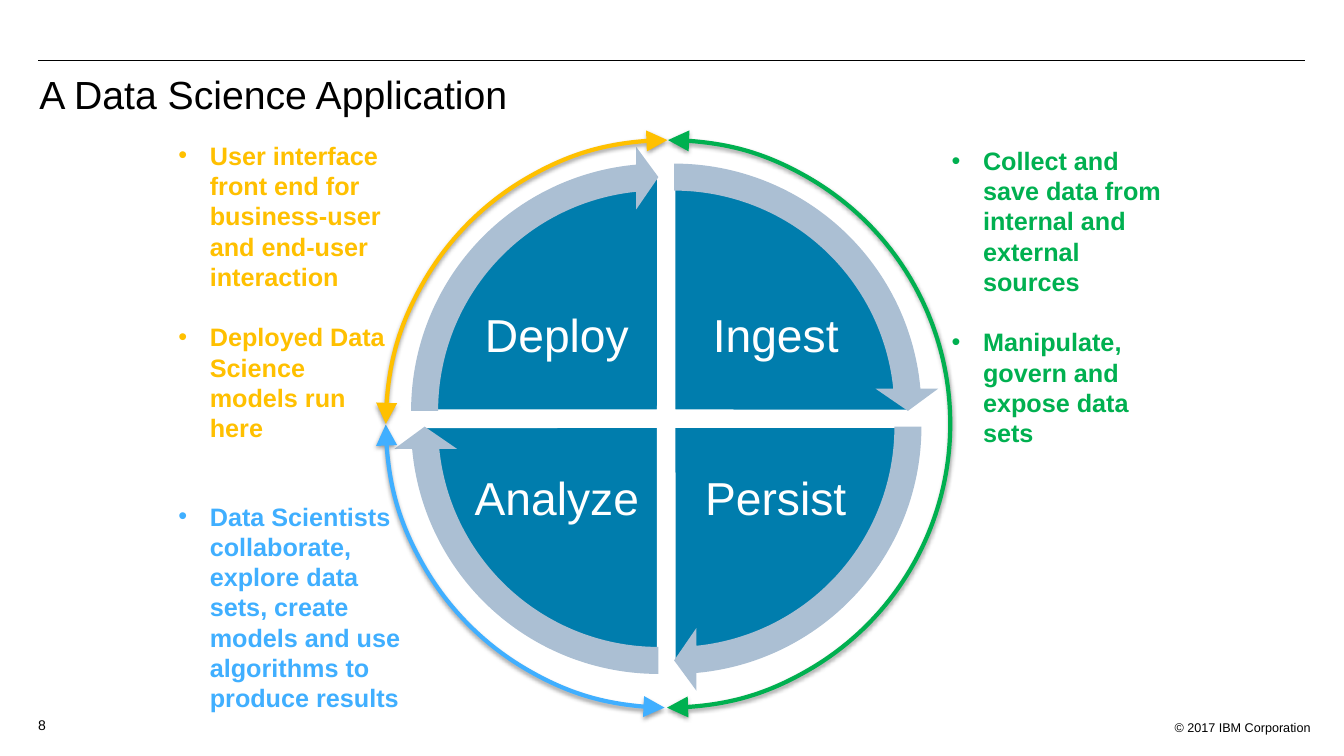
import pptx
import pptx.util
import pptx.dml.color
import pptx.enum.shapes
import pptx.enum.text
import pptx.oxml
import pptx.oxml.ns

Pt = pptx.util.Pt
SHAPE = pptx.enum.shapes.MSO_SHAPE
ALIGN = pptx.enum.text.PP_ALIGN
ANCHOR = pptx.enum.text.MSO_ANCHOR

BLACK, WHITE = "000000", "FFFFFF"
PIE_BLUE, ARROW_GREY = "007DAD", "ABBFD3"
GREEN, SKY, AMBER = "00B050", "40AFFF", "FFC000"


def rgb(value):
    return pptx.dml.color.RGBColor.from_string(value)


def add_xml(parent, xml):
    """Append a drawing element written without its namespace."""
    ns = pptx.oxml.ns.nsdecls("a")
    tag, rest = xml.split(" ", 1)
    parent.append(pptx.oxml.parse_xml(f"{tag} {ns} {rest}"))


class Deck:
    font = "Arial"

    def __init__(self, width, height):
        self.prs = pptx.Presentation()
        self.prs.slide_width, self.prs.slide_height = Pt(width), Pt(height)

    def new_slide(self, layout):
        self.s = self.prs.slides.add_slide(self.prs.slide_layouts[layout])

    def place(self, sp, box):
        sp.left, sp.top, sp.width, sp.height = [Pt(v) for v in box]

    def frame(self, tf, insets=(7.2, 3.6), anchor=ANCHOR.TOP):
        tf.word_wrap = True
        tf.auto_size = pptx.enum.text.MSO_AUTO_SIZE.NONE
        tf.vertical_anchor = anchor
        tf.margin_left = tf.margin_right = Pt(insets[0])
        tf.margin_top = tf.margin_bottom = Pt(insets[1])

    def run(self, p, text, size, color, bold=False):
        r = p.add_run()
        r.text = text
        r.font.name, r.font.size, r.font.bold = self.font, Pt(size), bold
        r.font.color.rgb = rgb(color)

    def title(self, text, box):
        sp = self.s.shapes.title
        self.place(sp, box)
        self.frame(sp.text_frame)
        sp.text_frame.margin_left = 0
        p = sp.text_frame.paragraphs[0]
        p.alignment = ALIGN.LEFT
        self.run(p, text, 28, BLACK)

    def bullets(self, idx, items, color, box):
        sp = self.s.placeholders[idx]
        self.place(sp, box)
        tf = sp.text_frame
        self.frame(tf)
        for i, item in enumerate(items):
            p = tf.add_paragraph() if i else tf.paragraphs[0]
            pPr = p._p.get_or_add_pPr()
            pPr.set("marL", str(Pt(22.5)))
            pPr.set("indent", str(-Pt(22.5)))
            add_xml(pPr, f'<a:buFont typeface="{self.font}"/>')
            add_xml(pPr, '<a:buChar char="•"/>')
            p.alignment = ALIGN.LEFT
            p.line_spacing = Pt(21.6)
            p.space_before = Pt(21.6 if i else 0)
            p.space_after = Pt(0)
            self.run(p, item, 18, color, bold=True)

    def text(self, text, box, size, color=BLACK, align=ALIGN.LEFT,
             insets=(7.2, 3.6), anchor=ANCHOR.TOP, spacing=1.0):
        sp = self.s.shapes.add_textbox(*[Pt(v) for v in box])
        self.frame(sp.text_frame, insets, anchor)
        p = sp.text_frame.paragraphs[0]
        p.alignment, p.line_spacing = align, spacing
        self.run(p, text, size, color)

    def shape(self, kind, box, adjustments, fill=None, line=None, weight=1):
        sp = self.s.shapes.add_shape(kind, *[Pt(v) for v in box])
        sp.shadow.inherit = False
        for i, value in enumerate(adjustments):
            sp.adjustments[i] = value
        if fill:
            sp.fill.solid()
            sp.fill.fore_color.rgb = rgb(fill)
        else:
            sp.fill.background()
        if line:
            sp.line.color.rgb = rgb(line)
            sp.line.width = Pt(weight)
        else:
            sp.line.fill.background()
        return sp

    def arrow_arc(self, box, start, end, color):
        sp = self.shape(SHAPE.ARC, box, (start, end), line=color, weight=3)
        ln = sp.line._get_or_add_ln()
        for side in ("headEnd", "tailEnd"):
            add_xml(ln, f'<a:{side} type="triangle" w="lg" len="lg"/>')
        effects = sp._element.spPr.find(pptx.oxml.ns.qn("a:effectLst"))
        add_xml(effects, f'<a:outerShdw blurRad="{Pt(3.1)}" dist="{Pt(1.6)}" dir="5400000" '
                         'rotWithShape="0"><a:srgbClr val="000000"><a:alpha val="38000"/>'
                         '</a:srgbClr></a:outerShdw>')

    def rule(self, x1, y, x2):
        cx = self.s.shapes.add_connector(pptx.enum.shapes.MSO_CONNECTOR.STRAIGHT,
                                         Pt(x1), Pt(y), Pt(x2), Pt(y))
        cx.line.color.rgb = rgb(BLACK)
        cx.line.width = Pt(0.75)
        add_xml(cx._element.spPr, "<a:effectLst />")


def main():
    d = Deck(960, 540)
    d.new_slide(4)

    # Header and footer
    d.rule(27.4, 43.2, 932.4)
    d.title("A Data Science Application", (28.1, 46.8, 897, 39.6))
    d.text("© 2017 IBM Corporation", (622.8, 510.5, 320.4, 18), 9, align=ALIGN.RIGHT)
    d.text("8", (20.2, 508.3, 58.3, 19.4), 10)

    # Four quadrants, clockwise: name, column, row (angles: 54 is a quarter turn)
    quadrants = [("Ingest", 1, 0), ("Persist", 1, 1), ("Analyze", 0, 1), ("Deploy", 0, 0)]
    starts = [162, 0, 54, 108]
    gap = 11.2
    for (name, col, row), start in zip(quadrants, starts):
        d.shape(SHAPE.PIE, (301.8 + col * gap, 125 + row * gap, 337, 337),
                (start, (start + 54) % 216), PIE_BLUE, WHITE, 2)
        d.text(name, (335.5 + col * 156.3, 195.1 + row * 116, 124.6, 92.2), 33, WHITE,
               ALIGN.CENTER, (3.6, 3.6), ANCHOR.MIDDLE, 0.9)

    # Cycle arrows over the quadrants
    for (name, col, row), start in zip(quadrants, starts):
        d.shape(SHAPE.CIRCULAR_ARROW, (281 + col * gap, 104.2 + row * gap, 378.7, 378.7),
                (0.051, 3.275, start + 50.725, start, 0.059), ARROW_GREY)

    # Outer arcs
    for start, end, color in [(162, 54.12, GREEN), (54.42, 107.92, SKY), (108, 161.93, AMBER)]:
        d.arrow_arc((275.6, 100.1, 403.2, 405.4), start, end, color)

    # Explanations beside the arcs
    d.bullets(1, ["Collect and save data from internal and external sources",
                  "Manipulate, govern and expose data sets"],
              GREEN, (672.5, 100.1, 168.5, 225.4))
    d.bullets(2, ["Data Scientists collaborate, explore data sets, create models "
                  "and use algorithms to produce results"],
              SKY, (120.2, 354.2, 176.4, 159.8))
    d.bullets(3, ["User interface front end for business-user and end-user interaction",
                  "Deployed Data Science models run here"],
              AMBER, (120.2, 96.5, 168.5, 225.4))

    # Drop the unused placeholder
    spare = d.s.placeholders[4]._element
    spare.getparent().remove(spare)

    d.prs.save("out.pptx")


if __name__ == "__main__":
    main()
